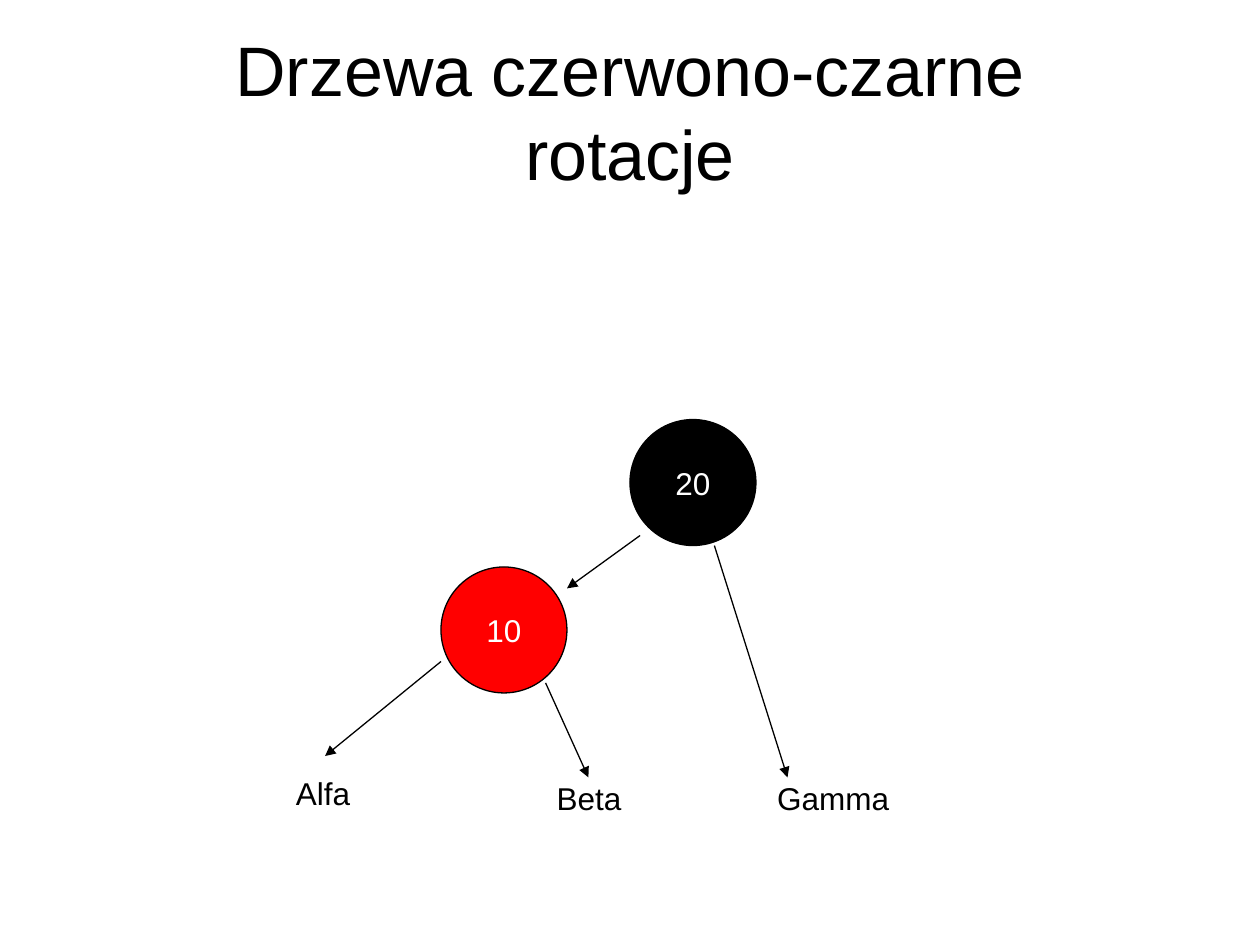
from dataclasses import dataclass

from lxml import etree
from pptx import Presentation
from pptx.dml.color import RGBColor
from pptx.enum import shapes, text
from pptx.oxml.ns import qn
from pptx.util import Inches, Pt


@dataclass(frozen=True)
class Theme:
    font: str = "Arial"
    title_size: int = 40
    label_size: int = 18
    line_width: float = 0.75
    black: RGBColor = RGBColor(0, 0, 0)
    red: RGBColor = RGBColor(255, 0, 0)
    white: RGBColor = RGBColor(255, 255, 255)


theme = Theme()


def set_text(tf, content, size, color, align):
    tf.text = content
    p = tf.paragraphs[0]
    p.alignment = align
    p.font.name = theme.font
    p.font.size = Pt(size)
    p.font.color.rgb = color


prs = Presentation()
prs.slide_width, prs.slide_height = Inches(10), Inches(7.5)
s = prs.slides.add_slide(prs.slide_layouts[5])

title = s.shapes.title
title.left, title.top = Inches(0.5), Inches(0.25)
title.width, title.height = Inches(9), Inches(1.25)
title.text_frame.vertical_anchor = text.MSO_ANCHOR.MIDDLE
set_text(title.text_frame, "Drzewa czerwono-czarne\vrotacje",
         theme.title_size, theme.black, text.PP_ALIGN.CENTER)

# Tree nodes: key, left, top, colour
for key, x, y, color in [("10", 3.5, 4.5, theme.red),
                         ("20", 5, 3.33, theme.black)]:
    sp = s.shapes.add_shape(shapes.MSO_SHAPE.OVAL, Inches(x), Inches(y),
                            Inches(1), Inches(1))
    sp.shadow.inherit = False
    sp.fill.solid()
    sp.fill.fore_color.rgb = color
    sp.line.color.rgb = theme.black
    sp.line.width = Pt(theme.line_width)
    tf = sp.text_frame
    tf.word_wrap = False
    tf.vertical_anchor = text.MSO_ANCHOR.MIDDLE
    set_text(tf, key, theme.label_size, theme.white, text.PP_ALIGN.CENTER)

# Arrows from parent to child: start x, y, end x, y
for ends in [(5.08, 4.25, 4.5, 4.67), (3.5, 5.25, 2.58, 6),
             (4.33, 5.42, 4.67, 6.17), (5.67, 4.33, 6.25, 6.17)]:
    arrow = s.shapes.add_connector(shapes.MSO_CONNECTOR.STRAIGHT,
                                   *[Inches(v) for v in ends])
    arrow.line.color.rgb = theme.black
    arrow.line.width = Pt(theme.line_width)
    etree.SubElement(arrow.line._get_or_add_ln(), qn("a:tailEnd"), type="triangle")
    etree.SubElement(arrow._element.spPr, qn("a:effectLst"))

# Subtree labels: name, left, top, width
for name, x, y, width in [("Alfa", 2.25, 6.09, 0.63),
                          ("Beta", 4.32, 6.13, 0.73),
                          ("Gamma", 6.07, 6.13, 1.09)]:
    label = s.shapes.add_textbox(Inches(x), Inches(y), Inches(width), Inches(0.4))
    tf = label.text_frame
    tf.word_wrap = False
    tf.auto_size = text.MSO_AUTO_SIZE.SHAPE_TO_FIT_TEXT
    set_text(tf, name, theme.label_size, theme.black, text.PP_ALIGN.LEFT)

prs.save("out.pptx")
